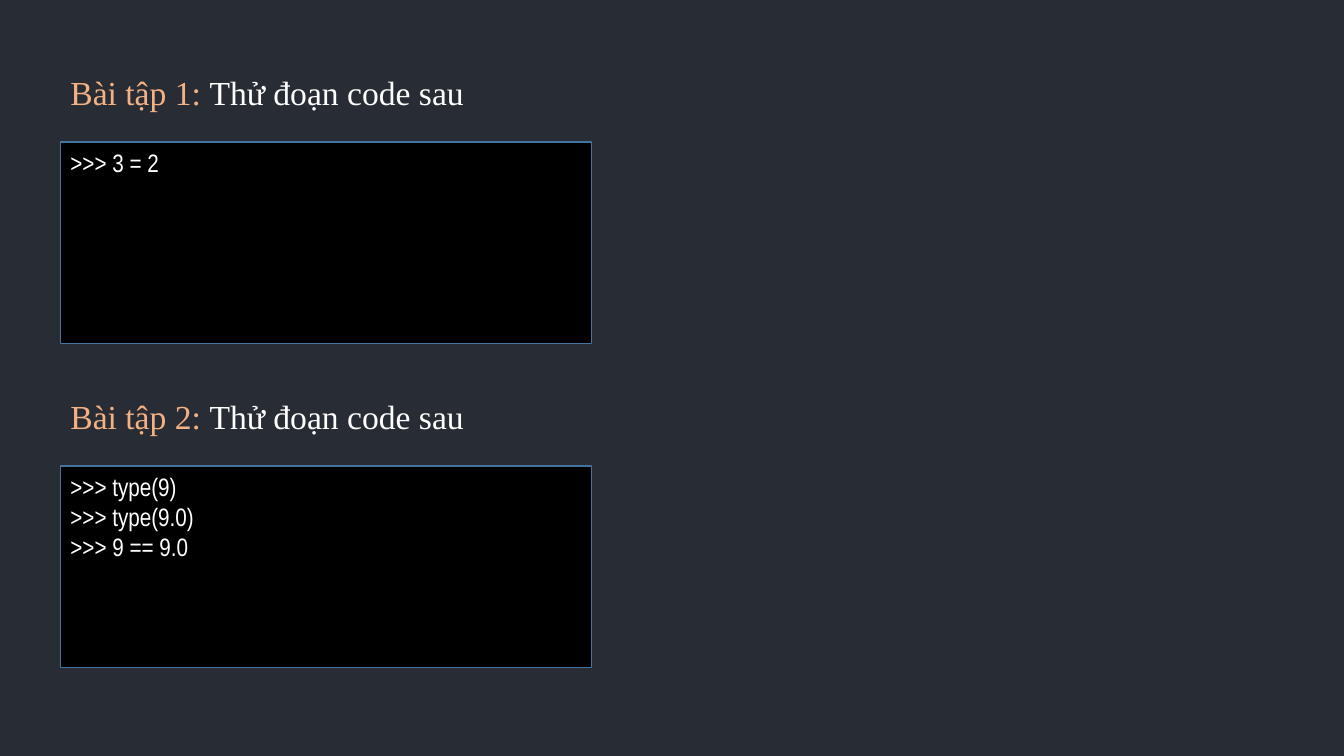
from dataclasses import dataclass

from pptx import Presentation
from pptx.dml.color import RGBColor as RGB
from pptx.enum.shapes import MSO_SHAPE as Shape
from pptx.enum.text import MSO_ANCHOR as Anchor, PP_ALIGN as Align
from pptx.util import Inches, Pt

TASKS = [
    ("Bài tập 1: ", "Thử đoạn code sau", [">>> 3 = 2"]),
    ("Bài tập 2: ", "Thử đoạn code sau",
     [">>> type(9)", ">>> type(9.0)", ">>> 9 == 9.0"]),
]


@dataclass(frozen=True)
class Theme:
    back: RGB = RGB.from_string("282C34")
    accent: RGB = RGB.from_string("F4B183")
    text: RGB = RGB.from_string("FFFFFF")
    panel: RGB = RGB.from_string("000000")
    edge: RGB = RGB.from_string("43739E")
    head_font: str = "Times New Roman"
    code_font: str = "Arial Narrow"
    head_size: int = 24
    code_size: int = 18


THEME = Theme()
LEFT, TOP, STEP = 0.6, 0.66, 3.215
HEAD_W, HEAD_H = 11.72, 0.53
CODE_W, CODE_H, CODE_DROP = 5.27, 2, 0.75


def add_head(slide, top, label, title):
    box = slide.shapes.add_textbox(
        Inches(LEFT), Inches(top), Inches(HEAD_W), Inches(HEAD_H))
    frame = box.text_frame
    frame.word_wrap = True
    para = frame.paragraphs[0]
    para.font.name = THEME.head_font
    para.font.size = Pt(THEME.head_size)
    for text, color in ((label, THEME.accent), (title, THEME.text)):
        run = para.add_run()
        run.text = text
        run.font.color.rgb = color


def add_code(slide, top, lines):
    panel = slide.shapes.add_shape(
        Shape.RECTANGLE,
        Inches(LEFT), Inches(top), Inches(CODE_W), Inches(CODE_H))
    panel.shadow.inherit = False
    panel.fill.solid()
    panel.fill.fore_color.rgb = THEME.panel
    panel.line.color.rgb = THEME.edge
    panel.line.width = Pt(1)
    frame = panel.text_frame
    frame.word_wrap = True
    frame.vertical_anchor = Anchor.TOP
    frame.text = "\n".join(lines)
    for para in frame.paragraphs:
        para.alignment = Align.LEFT
        para.font.name = THEME.code_font
        para.font.size = Pt(THEME.code_size)
        para.font.color.rgb = THEME.text


def main():
    deck = Presentation()
    deck.slide_width, deck.slide_height = Inches(13.33), Inches(7.5)
    slide = deck.slides.add_slide(deck.slide_layouts[6])
    slide.background.fill.solid()
    slide.background.fill.fore_color.rgb = THEME.back
    for i, (label, title, lines) in enumerate(TASKS):
        top = TOP + i * STEP
        add_head(slide, top, label, title)
        add_code(slide, top + CODE_DROP, lines)
    deck.save("out.pptx")


if __name__ == "__main__":
    main()
